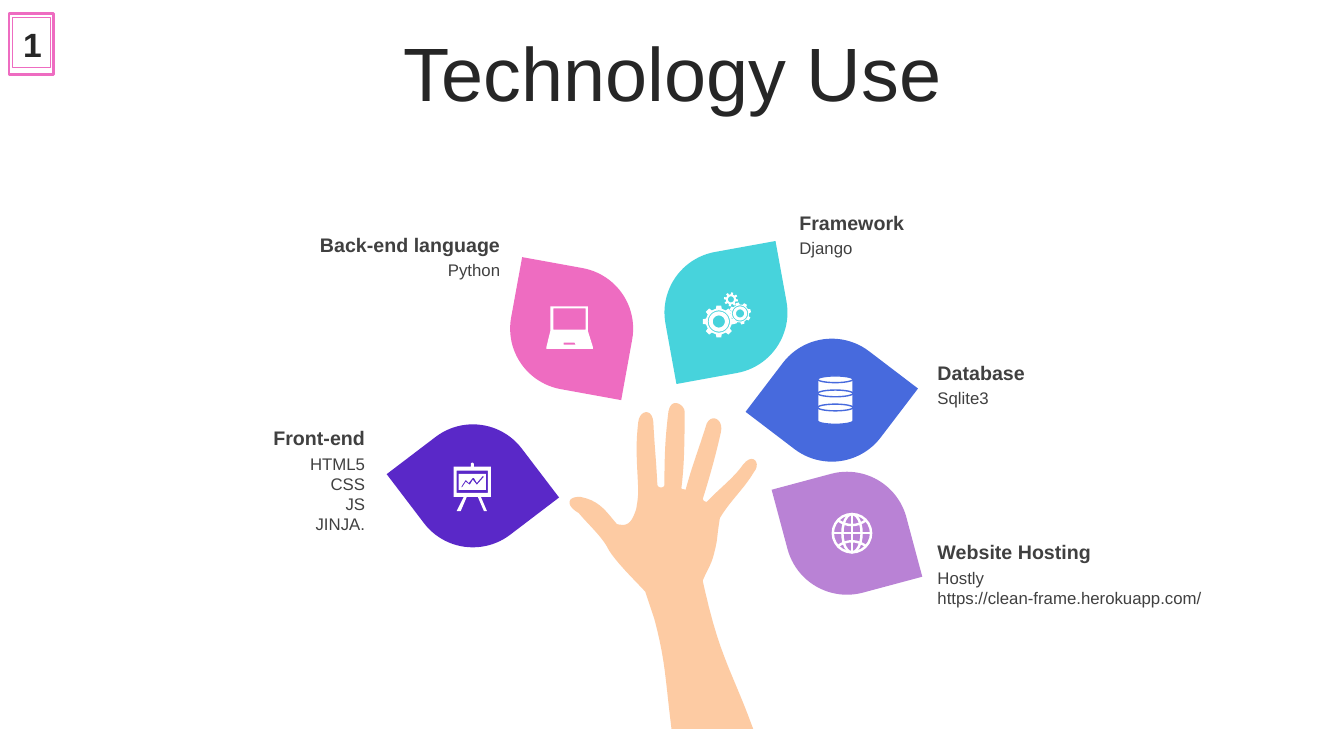
"""Build the "Technology Use" slide: a hand holding five technology leaves."""
from dataclasses import dataclass
from math import cos, pi, radians, sin

from lxml.etree import SubElement
from pptx import Presentation
from pptx.dml.color import RGBColor
from pptx.enum.shapes import MSO_CONNECTOR, MSO_SHAPE
from pptx.enum.text import MSO_ANCHOR, PP_ALIGN
from pptx.oxml.ns import qn
from pptx.util import Cm, Pt


@dataclass(frozen=True)
class Theme:
    font: str = "Arial"
    title: int = 54
    number: int = 24
    heading: int = 14
    body: int = 12
    dark: str = "262626"
    text: str = "404040"
    white: str = "FFFFFF"
    skin: str = "FDCBA3"
    pink: str = "EE6CC1"
    cyan: str = "47D3DC"
    blue: str = "476ADD"
    lilac: str = "B982D5"
    violet: str = "5A28C8"


T = Theme()
CM_PER_UNIT = 2.54
LEAF = 1.22
LABEL_WIDTH = 3.06
LEFT, RIGHT, CENTER = PP_ALIGN.LEFT, PP_ALIGN.RIGHT, PP_ALIGN.CENTER

TITLE = "Technology Use"
NUMBER = "1"
# leaf: center x, center y, rotation, rounded corner pair, colour
LEAVES = [
    (7.2, 3.1, -10.3, (0.5, 0), T.cyan),
    (8.25, 3.97, 37.3, (0.5, 0), T.blue),
    (8.4, 5.29, 75, (0.5, 0), T.lilac),
    (5.67, 3.26, 10.3, (0, 0.5), T.pink),
    (4.69, 4.82, -37.3, (0, 0.5), T.violet),
]
LABELS = [
    (9.2, 3.53, LEFT, "Database", ["Sqlite3"]),
    (9.2, 5.31, LEFT, "Website Hosting", ["Hostly", "https://clean-frame.herokuapp.com/"]),
    (7.83, 2.04, LEFT, "Framework", ["Django"]),
    (0.66, 4.18, RIGHT, "Front-end", ["HTML5", "CSS", "JS", "JINJA."]),
    (2, 2.26, RIGHT, "Back-end language", ["Python"]),
]
HAND = [
    (6.66, 7.23), (7.47, 7.23), (7.28, 6.71, 7.17, 6.57, 7.03, 6.02),
    (7.01, 5.93, 6.99, 5.86, 6.97, 5.76), (7.02, 5.64, 7.06, 5.6, 7.09, 5.46),
    (7.12, 5.34, 7.11, 5.32, 7.14, 5.14), (7.24, 4.97, 7.38, 4.85, 7.48, 4.68),
    (7.55, 4.6, 7.47, 4.48, 7.37, 4.61), (7.27, 4.75, 7.13, 4.85, 7.01, 4.98),
    (6.97, 4.97, 6.98, 4.96, 6.97, 4.95), (7.04, 4.73, 7.1, 4.51, 7.15, 4.29),
    (7.18, 4.16, 7.06, 4.1, 7.01, 4.2), (6.94, 4.43, 6.87, 4.6, 6.8, 4.86),
    (6.79, 4.85, 6.75, 4.86, 6.76, 4.83), (6.79, 4.59, 6.79, 4.32, 6.79, 4.08),
    (6.79, 4.02, 6.66, 3.93, 6.63, 4.08), (6.6, 4.33, 6.59, 4.49, 6.59, 4.81),
    (6.59, 4.84, 6.53, 4.85, 6.52, 4.81), (6.51, 4.59, 6.49, 4.4, 6.48, 4.19),
    (6.47, 4.04, 6.34, 4.07, 6.33, 4.19), (6.3, 4.44, 6.32, 4.61, 6.33, 4.85),
    (6.33, 4.94, 6.32, 4.99, 6.31, 5.05), (6.26, 5.21, 6.21, 5.22, 6.12, 5.2),
    (6.02, 5.09, 5.96, 4.97, 5.76, 4.93), (5.63, 4.92, 5.6, 5.01, 5.74, 5.09),
    (5.84, 5.21, 5.98, 5.33, 6.04, 5.46), (6.13, 5.6, 6.31, 5.77, 6.4, 5.87),
    (6.49, 6.14), (6.6, 6.55, 6.6, 6.75, 6.66, 7.23),
]
LAPTOP = [
    [(5.46, 3.04), (5.83, 3.04), (5.83, 3.28), (5.88, 3.44), (5.88, 3.46),
     (5.42, 3.46), (5.42, 3.44), (5.46, 3.28)],
    [(5.49, 3.06), (5.49, 3.27), (5.81, 3.27), (5.81, 3.06)],
    [(5.59, 3.4), (5.59, 3.42), (5.71, 3.42), (5.7, 3.4)],
]
BOARD = [
    [(4.67, 4.63), (4.67, 4.6), (4.68, 4.59), (4.69, 4.59), (4.7, 4.6), (4.7, 4.63),
     (4.87, 4.63), (4.87, 4.93), (4.77, 4.93), (4.83, 5.07), (4.8, 5.07), (4.74, 4.93),
     (4.63, 4.93), (4.57, 5.07), (4.53, 5.07), (4.6, 4.93), (4.5, 4.93), (4.5, 4.63)],
    [(4.53, 4.67), (4.53, 4.89), (4.84, 4.89), (4.84, 4.67)],
    [(4.55, 4.7), (4.82, 4.7), (4.82, 4.86), (4.55, 4.86)],
    [(4.79, 4.72), (4.73, 4.79), (4.7, 4.74), (4.69, 4.74), (4.65, 4.79), (4.62, 4.76),
     (4.58, 4.82), (4.58, 4.84), (4.62, 4.78), (4.66, 4.81), (4.69, 4.76), (4.73, 4.81),
     (4.8, 4.73)],
]
# gear: center x, center y, tip radius, root radius, phase, inner circles
GEARS = [
    (7.13, 3.19, 0.16, 0.13, -90, (0.11, 0.1, 0.06)),
    (7.34, 3.11, 0.11, 0.09, -105, (0.08, 0.07, 0.04)),
    (7.25, 2.97, 0.07, 0.05, -80, (0.03,)),
]
GLOBE = (8.45, 5.29, 0.19)
DISKS = (8.11, 3.73, 0.35, 0.2, 0.14)


def u(v):
    return Cm(v * CM_PER_UNIT)


def rgb(c):
    return RGBColor.from_string(c)


def paint(sp, fill=None, line=None, width=1):
    sp.shadow.inherit = False
    if fill:
        sp.fill.solid()
        sp.fill.fore_color.rgb = rgb(fill)
    else:
        sp.fill.background()
    if line:
        sp.line.color.rgb = rgb(line)
        sp.line.width = Pt(width)
    else:
        sp.line.fill.background()


def preset(s, kind, x, y, w, h, **style):
    sp = s.shapes.add_shape(kind, u(x), u(y), u(w), u(h))
    paint(sp, **style)
    return sp


def outline(s, contours, close=True, **style):
    paths = [[(u(x), u(y)) for x, y in c] for c in contours]
    fb = s.shapes.build_freeform(*paths[0][0])
    for i, path in enumerate(paths):
        if i:
            fb.move_to(*path[0])
        fb.add_line_segments(path[1:], close=close)
    paint(fb.convert_to_shape(), **style)


def flatten(segments, steps=10):
    pts = []
    for seg in segments:
        if len(seg) == 2:
            pts.append(seg)
            continue
        ctrl = [pts[-1], seg[:2], seg[2:4], seg[4:]]
        for t in (i / steps for i in range(1, steps + 1)):
            weights = ((1 - t) ** 3, 3 * t * (1 - t) ** 2, 3 * t * t * (1 - t), t ** 3)
            pts.append(tuple(sum(w * p[k] for w, p in zip(weights, ctrl)) for k in (0, 1)))
    return pts


def polar(x, y, r, a):
    return x + r * cos(a), y + r * sin(a)


def gear(x, y, tip, root, phase, circles, teeth=8):
    rim = []
    for i in range(teeth):
        a = radians(phase) + 2 * pi * i / teeth
        rim += [polar(x, y, r, a + d) for r, d in
                ((root, -0.22), (tip, -0.15), (tip, 0.15), (root, 0.22))]
    return [rim] + [[polar(x, y, r, 2 * pi * i / 32) for i in range(32)] for r in circles]


def text(s, x, y, w, h, lines, size, color, align, bold=False):
    tf = s.shapes.add_textbox(u(x), u(y), u(w), u(h)).text_frame
    tf.word_wrap = True
    for i, line in enumerate(lines):
        p = tf.paragraphs[0] if i == 0 else tf.add_paragraph()
        p.text, p.alignment = line, align
        p.font.name, p.font.size, p.font.bold = T.font, Pt(size), bold
        p.font.color.rgb = rgb(color)
    return tf


def globe(s, x, y, r):
    stroke = dict(line=T.white, width=1.75)
    for rx in (r, r / 2):
        preset(s, MSO_SHAPE.OVAL, x - rx, y - r, 2 * rx, 2 * r, **stroke)
    for dx, dy in ((r, 0), (0, r)):
        ln = s.shapes.add_connector(MSO_CONNECTOR.STRAIGHT, u(x - dx), u(y - dy), u(x + dx), u(y + dy))
        ln.line.color.rgb, ln.line.width = rgb(T.white), Pt(stroke["width"])
        SubElement(ln._element.spPr, qn("a:effectLst"))
    for side in (-1, 1):
        arc = [(x + k * 0.035, y + side * (0.08 + 0.003 * k * k)) for k in range(-4, 5)]
        outline(s, [arc], close=False, **stroke)


def main():
    prs = Presentation()
    prs.slide_width, prs.slide_height = u(13.33), u(7.5)
    s = prs.slides.add_slide(prs.slide_layouts[6])

    tf = text(s, 3.74, 0.37, 5.86, 0.79, [TITLE], T.title, T.dark, CENTER)
    tf.vertical_anchor = MSO_ANCHOR.MIDDLE
    tf.paragraphs[0].line_spacing = 0.9

    outline(s, [flatten(HAND)], fill=T.skin)
    for x, y, angle, corners, color in LEAVES:
        sp = preset(s, MSO_SHAPE.ROUND_2_DIAG_RECTANGLE, x - LEAF / 2, y - LEAF / 2, LEAF, LEAF, fill=color)
        sp.adjustments[0], sp.adjustments[1] = corners
        sp.rotation = angle

    for x, y, align, heading, lines in LABELS:
        text(s, x, y + 0.27, LABEL_WIDTH, 0.1 + 0.2 * len(lines), lines, T.body, T.text, align)
        text(s, x, y, LABEL_WIDTH, 0.34, [heading], T.heading, T.text, align, bold=True)

    preset(s, MSO_SHAPE.RECTANGLE, 0.09, 0.13, 0.44, 0.61, fill=T.white, line=T.pink, width=2)
    text(s, 0.13, 0.19, 0.38, 0.5, [NUMBER], T.number, T.dark, CENTER, bold=True)
    preset(s, MSO_SHAPE.RECTANGLE, 0.12, 0.17, 0.38, 0.5, line=T.pink, width=0.75)

    for icon in (BOARD, LAPTOP, *(gear(*g) for g in GEARS)):
        outline(s, icon, fill=T.white)
    globe(s, *GLOBE)
    x, y, w, h, step = DISKS
    for i in range(3):
        preset(s, MSO_SHAPE.FLOWCHART_MAGNETIC_DISK, x, y + i * step, w, h, fill=T.white, line=T.blue)
    prs.save("out.pptx")


if __name__ == "__main__":
    main()
